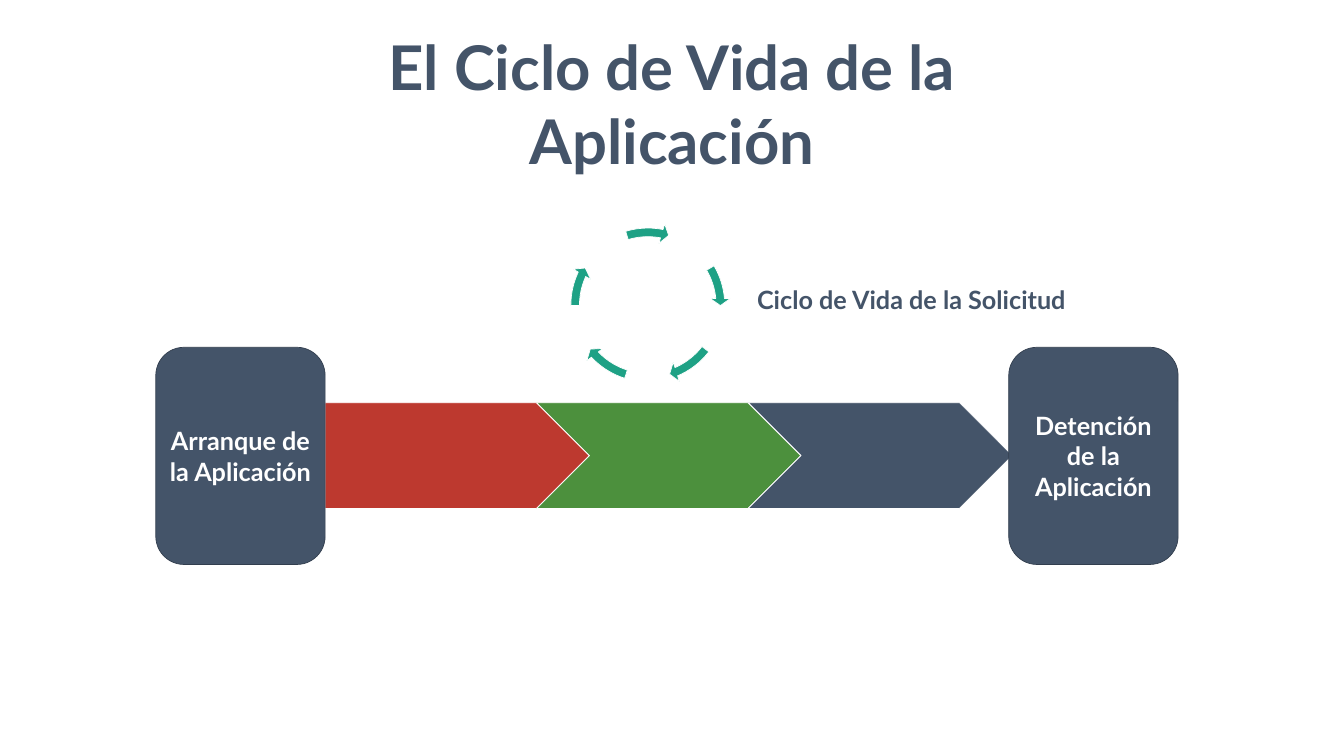
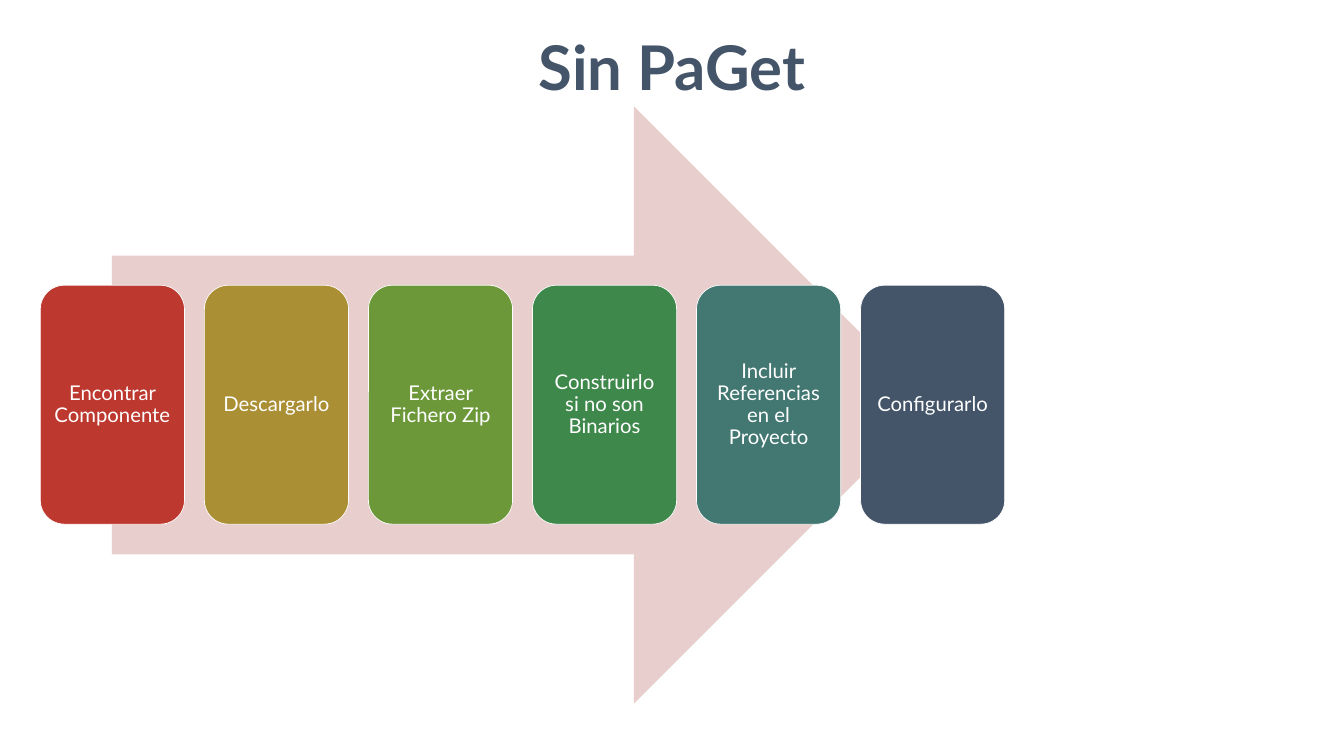
from dataclasses import dataclass

from pptx import Presentation
from pptx.dml.color import RGBColor
from pptx.enum.shapes import MSO_SHAPE
from pptx.enum.text import MSO_ANCHOR, MSO_AUTO_SIZE, PP_ALIGN
from pptx.util import Pt

CENTER, LEFT = PP_ALIGN.CENTER, PP_ALIGN.LEFT
TOP, MIDDLE = MSO_ANCHOR.TOP, MSO_ANCHOR.MIDDLE
NO_FIT = MSO_AUTO_SIZE.NONE
PENTAGON, CHEVRON = MSO_SHAPE.PENTAGON, MSO_SHAPE.CHEVRON
TERMINAL = MSO_SHAPE.FLOWCHART_ALTERNATE_PROCESS
CARD = MSO_SHAPE.ROUNDED_RECTANGLE
ARROW, CYCLE_ARROW = MSO_SHAPE.RIGHT_ARROW, MSO_SHAPE.CIRCULAR_ARROW


@dataclass(frozen=True)
class Theme:
    font: str = "Lato"
    navy: str = "445469"
    navy_edge: str = "323E4E"
    red: str = "BD392F"
    green: str = "4C903D"
    teal: str = "1EA185"
    pink: str = "E8CECD"
    white: str = "FFFFFF"
    title_size: int = 88
    label_size: int = 36
    step_size: int = 29


THEME = Theme()
SLIDE_W, SLIDE_H = 1919.52, 1080
TITLE_TOP = 38.2
TITLE_ONLY = 5

# Content: life cycle
LIFE_TITLE = "El Ciclo de Vida de la Aplicación"
REQUEST_LABEL = "Ciclo de Vida de la Solicitud"
TERMINALS = [("Arranque de la Aplicación", 222.5), ("Detención de la Aplicación", 1440.7)]
STAGES = [(PENTAGON, THEME.red), (CHEVRON, THEME.green), (CHEVRON, THEME.navy)]
# Head and tail angles of each arrow in the request cycle
CYCLE_ANGLES = [(212.94, 197.66), (40.15, 22.53), (82.11, 64.49), (122.98, 107.7), (168.66, 151.98)]

# Content: manual steps
MANUAL_TITLE = "Sin PaGet"
STEPS = [
    ("Encontrar Componente", THEME.red),
    ("Descargarlo", "AA8F35"),
    ("Extraer Fichero Zip", "6C983A"),
    ("Construirlo si no son Binarios", "3F884B"),
    ("Incluir Referencias en el Proyecto", "427871"),
    ("Configurarlo", THEME.navy),
]


def rgb(value):
    return RGBColor.from_string(value)


def write(shape, text, size, color, bold=True, align=CENTER, anchor=MIDDLE, wrap=True):
    frame = shape.text_frame
    frame.text = text
    frame.word_wrap = wrap
    frame.auto_size = NO_FIT
    frame.vertical_anchor = anchor
    paragraph = frame.paragraphs[0]
    paragraph.alignment = align
    font = paragraph.runs[0].font
    font.name, font.size, font.bold = THEME.font, Pt(size), bold
    font.color.rgb = rgb(color)
    return frame


def add_block(slide, kind, box, fill, edge=THEME.white):
    block = slide.shapes.add_shape(kind, *map(Pt, box))
    block.shadow.inherit = False
    block.fill.solid()
    block.fill.fore_color.rgb = rgb(fill)
    if edge:
        block.line.color.rgb = rgb(edge)
        block.line.width = Pt(1)
    else:
        block.line.fill.background()
    return block


def add_titled_slide(prs, text, left, width, height):
    slide = prs.slides.add_slide(prs.slide_layouts[TITLE_ONLY])
    title = slide.shapes.title
    title.left, title.top, title.width, title.height = map(Pt, (left, TITLE_TOP, width, height))
    write(title, text, THEME.title_size, THEME.navy, anchor=TOP)
    return slide


def build_life_cycle(prs):
    slide = add_titled_slide(prs, LIFE_TITLE, 473, 973.4, 220.3)

    # Stages between start and stop
    first_left, stage_pitch = 464.4, 302.1
    for i, (kind, color) in enumerate(STAGES):
        add_block(slide, kind, (first_left + i * stage_pitch, 575.3, 377.3, 151.2), color)

    # Start and stop
    for text, left in TERMINALS:
        terminal = add_block(slide, TERMINAL, (left, 496.1, 241.9, 310.3),
                             THEME.navy, THEME.navy_edge)
        write(terminal, text, THEME.label_size, THEME.white)

    # Request cycle
    for head, tail in CYCLE_ANGLES:
        arrow = add_block(slide, CYCLE_ARROW, (807.1, 317.5, 236.2, 236.2), THEME.teal)
        for i, value in enumerate((0.052, 3.358, head, tail, 0.061)):
            arrow.adjustments[i] = value
    label = slide.shapes.add_textbox(Pt(1074.2), Pt(402.5), Pt(488.2), Pt(51.1))
    write(label, REQUEST_LABEL, THEME.label_size, THEME.navy,
          align=LEFT, anchor=TOP, wrap=False)


def build_manual_steps(prs):
    slide = add_titled_slide(prs, MANUAL_TITLE, 0, SLIDE_W, 113.8)
    add_block(slide, ARROW, (159.8, 151.9, 1172.2, 853.2), THEME.pink, None)

    # Step cards
    first_left, card_pitch, inset = 57.6, 234.3, Pt(8.6)
    for i, (text, color) in enumerate(STEPS):
        card = add_block(slide, CARD, (first_left + i * card_pitch, 407.5, 205.9, 341.3), color)
        frame = write(card, text, THEME.step_size, THEME.white, bold=False)
        frame.margin_left = frame.margin_right = inset
        frame.margin_top = frame.margin_bottom = inset
        frame.paragraphs[0].line_spacing = 0.9


def main():
    prs = Presentation()
    prs.slide_width, prs.slide_height = Pt(SLIDE_W), Pt(SLIDE_H)
    build_life_cycle(prs)
    build_manual_steps(prs)
    prs.save("out.pptx")


if __name__ == "__main__":
    main()
